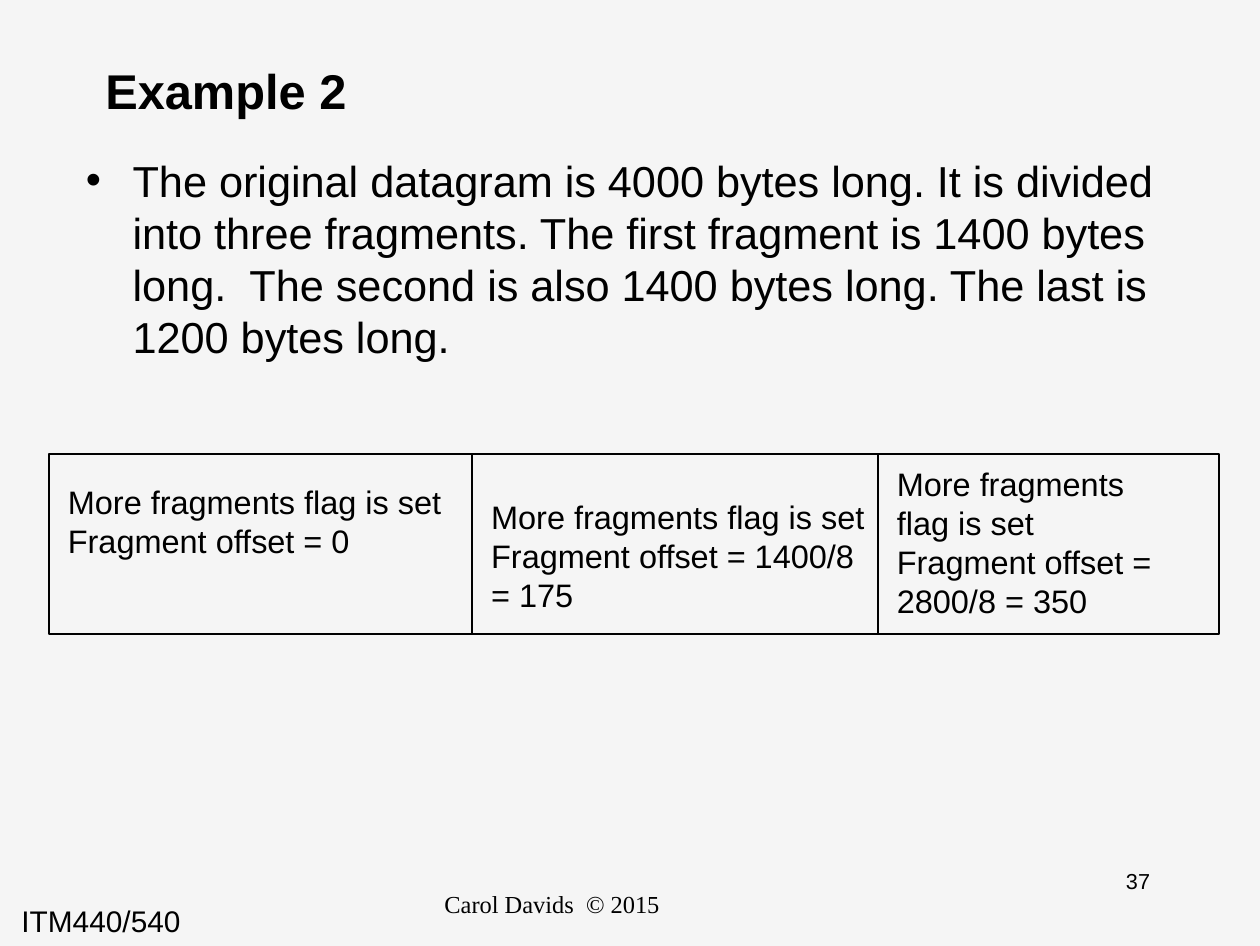
from pptx import Presentation, util as u
from pptx.dml.color import RGBColor
from pptx.enum import shapes, text
from lxml import etree

# Content
TITLE = "Example 2"
BODY = ("The original datagram is 4000 bytes long. It is divided into three "
        "fragments. The first fragment is 1400 bytes long.  The second is also "
        "1400 bytes long. The last is 1200 bytes long.")
FLAG = "More fragments flag is set"
# Cell width, text top, text width, text height, offset
FRAGS = [
    (2.17, 2.42, 2.17, 0.5, "Fragment offset = 0"),
    (2.08, 2.5, 2.17, 0.7, "Fragment offset = 1400/8 = 175"),
    (1.75, 2.33, 1.67, 0.9, "Fragment offset = 2800/8 = 350"),
]
LEFT, TOP, HIGH = 0.25, 2.33, 0.92
COLORS = {"back": "F5F5F5", "ink": "000000"}
SANS, SERIF = "Arial", "Times New Roman"
SLIM, WIDE = (0.06, 0.03), (0.1, 0.05)


def color(name):
    return RGBColor.from_string(COLORS[name])


def add_text(box, lines, size, font=SANS, pad=SLIM, bold=False,
             align=text.PP_ALIGN.LEFT, anchor=text.MSO_ANCHOR.TOP):
    frame = slide.shapes.add_textbox(*map(u.Inches, box)).text_frame
    frame.word_wrap = True
    frame.vertical_anchor = anchor
    frame.margin_left = frame.margin_right = u.Inches(pad[0])
    frame.margin_top = frame.margin_bottom = u.Inches(pad[1])
    for i, line in enumerate(lines):
        para = frame.add_paragraph() if i else frame.paragraphs[0]
        para.alignment = align
        run = para.add_run()
        run.text = line
        run.font.size, run.font.name = u.Pt(size), font
        run.font.bold = bold
        run.font.color.rgb = color("ink")
    return frame


def add_bullet(para, indent):
    props = para._p.get_or_add_pPr()
    props.set("marL", str(u.Inches(indent)))
    props.set("indent", str(-u.Inches(indent)))
    ns = "{http://schemas.openxmlformats.org/drawingml/2006/main}"
    etree.SubElement(props, ns + "buFont", typeface=SANS)
    etree.SubElement(props, ns + "buChar", char="•")


deck = Presentation()
deck.slide_width, deck.slide_height = u.Inches(6.46), u.Inches(4.85)
slide = deck.slides.add_slide(deck.slide_layouts[6])
slide.background.fill.solid()
slide.background.fill.fore_color.rgb = color("back")

# Footer
MID = text.PP_ALIGN.CENTER
add_text((0, 4.58, 2.1, 0.29), ["ITM440/540"], 11, pad=(0.11, 0.05))
add_text((5.33, 4.42, 1.01, 0.32), ["37"], 8, align=MID)
add_text((1.7, 4.53, 2.26, 0.32), ["Carol Davids  © 2015"], 9, SERIF, align=MID)

# Title and body
add_text((0.48, 0.27, 5.49, 0.38), [TITLE], 18, bold=True,
         anchor=text.MSO_ANCHOR.MIDDLE)
body = add_text((0.38, 0.76, 5.65, 2.53), [BODY], 16)
add_bullet(body.paragraphs[0], 0.24)

# Fragments side by side
left = LEFT
for width, top, span, high, offset in FRAGS:
    cell = slide.shapes.add_shape(
        shapes.MSO_SHAPE.RECTANGLE,
        *map(u.Inches, (left, TOP, width, HIGH)))
    cell.shadow.inherit = False
    cell.fill.background()
    cell.line.color.rgb = color("ink")
    cell.line.width = u.Pt(0.75)
    add_text((left, top, span, high), [FLAG, offset], 12, pad=WIDE)
    left += width

deck.save("out.pptx")
